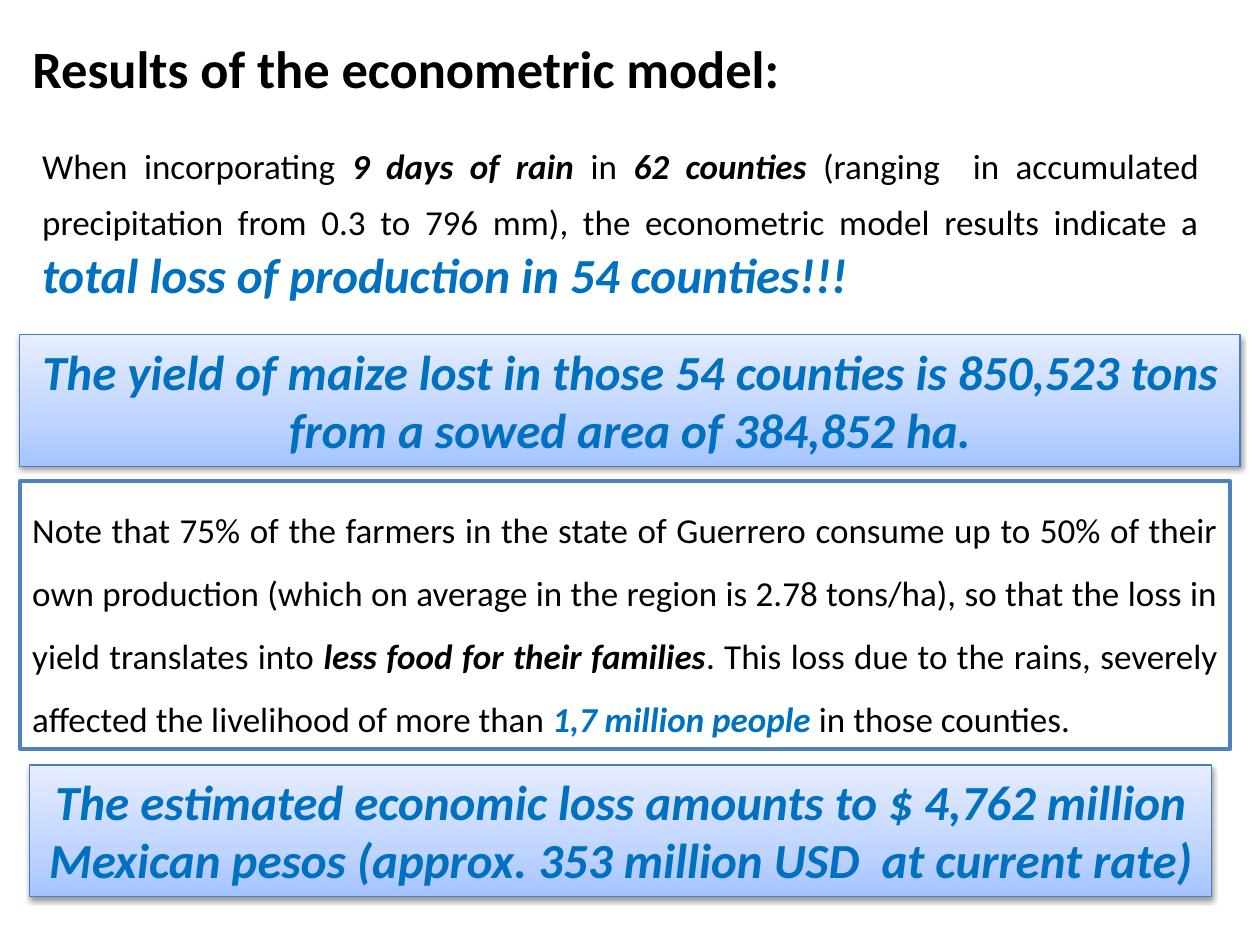
"""Build the slide on the results of the econometric model."""
from dataclasses import dataclass

from pptx import Presentation
from pptx.dml.color import RGBColor
from pptx.enum.shapes import MSO_SHAPE
from pptx.enum.text import MSO_ANCHOR, MSO_AUTO_SIZE, PP_ALIGN
from pptx.oxml import parse_xml
from pptx.oxml.ns import nsdecls, qn
from pptx.util import Cm, Pt

RECTANGLE = MSO_SHAPE.RECTANGLE
TOP = MSO_ANCHOR.TOP
FIXED, GROW = MSO_AUTO_SIZE.NONE, MSO_AUTO_SIZE.SHAPE_TO_FIT_TEXT
LEFT, CENTER, JUSTIFY = PP_ALIGN.LEFT, PP_ALIGN.CENTER, PP_ALIGN.JUSTIFY
TITLE_ONLY = 5


@dataclass(frozen=True)
class Theme:
    """Colours, font and type sizes of the slide."""

    font: str = "Calibri"
    ink: str = "000000"
    accent: str = "0070C0"
    paper: str = "FFFFFF"
    frame: str = "4F81BD"
    banner_line: str = "4B7EBC"
    banner_stops: tuple = ((0, "A4C4FF"), (35, "BFD4FF"), (100, "E6EEFF"))
    title: int = 30
    body: int = 20
    large: int = 28


@dataclass(frozen=True)
class Span:
    """A stretch of text in one format."""

    text: str
    size: int
    color: str
    bold: bool = False
    italic: bool = False


class SlideBuilder:
    """Holds the theme and the current slide."""

    def __init__(self, presentation, theme):
        self.theme = theme
        self.slide = presentation.slides.add_slide(presentation.slide_layouts[TITLE_ONLY])

    def plain(self, text):
        """Return body text."""
        return Span(text, self.theme.body, self.theme.ink)

    def strong(self, text):
        """Return emphasised body text."""
        return Span(text, self.theme.body, self.theme.ink, True, True)

    def accent(self, text, size):
        """Return emphasised text in the accent colour."""
        return Span(text, size, self.theme.accent, True, True)

    def add_spans(self, shape, spans, alignment, auto_size=GROW, spacing=1.0):
        """Fill a shape with one paragraph of spans."""
        frame = shape.text_frame
        frame.word_wrap = True
        frame.auto_size = auto_size
        frame.vertical_anchor = TOP
        paragraph = frame.paragraphs[0]
        paragraph.alignment = alignment
        paragraph.line_spacing = spacing
        for span in spans:
            run = paragraph.add_run()
            run.text = span.text
            run.font.name = self.theme.font
            run.font.size = Pt(span.size)
            run.font.bold = span.bold
            run.font.italic = span.italic
            run.font.color.rgb = RGBColor.from_string(span.color)

    def title(self, text, left, top, width, height):
        """Place the title."""
        shape = self.slide.shapes.title
        shape.left, shape.top, shape.width, shape.height = map(Cm, (left, top, width, height))
        self.add_spans(shape, [Span(text, self.theme.title, self.theme.ink, True)], LEFT, FIXED)

    def text(self, spans, left, top, width, height):
        """Add a justified text box."""
        shape = self.slide.shapes.add_textbox(*map(Cm, (left, top, width, height)))
        self.add_spans(shape, spans, JUSTIFY)

    def rectangle(self, line_color, line_width, left, top, width, height):
        """Add an outlined rectangle without shadow."""
        shape = self.slide.shapes.add_shape(RECTANGLE, *map(Cm, (left, top, width, height)))
        shape.shadow.inherit = False
        shape.line.color.rgb = RGBColor.from_string(line_color)
        shape.line.width = Pt(line_width)
        return shape

    def note(self, spans, left, top, width, height):
        """Add a framed note with wide line spacing."""
        shape = self.rectangle(self.theme.frame, 2, left, top, width, height)
        shape.fill.solid()
        shape.fill.fore_color.rgb = RGBColor.from_string(self.theme.paper)
        self.add_spans(shape, spans, JUSTIFY, spacing=1.5)

    def banner(self, text, left, top, width, height):
        """Add a shaded banner with a soft shadow."""
        shape = self.rectangle(self.theme.banner_line, 0.75, left, top, width, height)
        stops = "".join(
            f'<a:gs pos="{position * 1000}"><a:srgbClr val="{color}"/></a:gs>'
            for position, color in self.theme.banner_stops
        )
        properties = shape._element.spPr
        properties.find(qn("a:prstGeom")).addnext(parse_xml(
            f'<a:gradFill {nsdecls("a")} rotWithShape="1"><a:gsLst>{stops}</a:gsLst>'
            '<a:lin ang="16200000" scaled="1"/></a:gradFill>'
        ))
        properties.find(qn("a:effectLst")).append(parse_xml(
            f'<a:outerShdw {nsdecls("a")} blurRad="{Pt(3.1)}" dist="{Pt(1.6)}" dir="5400000"'
            ' rotWithShape="0"><a:srgbClr val="000000"><a:alpha val="38000"/></a:srgbClr>'
            '</a:outerShdw>'
        ))
        self.add_spans(shape, [self.accent(text, self.theme.large)], CENTER)


def main():
    """Build and save the presentation."""
    presentation = Presentation()
    presentation.slide_width, presentation.slide_height = Cm(25.4), Cm(19.05)
    theme = Theme()
    builder = SlideBuilder(presentation, theme)
    plain, strong, accent = builder.plain, builder.strong, builder.accent

    builder.note([
        plain("Note that 75% of the farmers in the state of Guerrero consume up to 50% of their "
              "own production (which on average in the region is 2.78 tons/ha), so that the "
              "loss in yield translates into "),
        strong("less food for their families"),
        plain(". This loss due to the rains, severely affected the livelihood of more than "),
        accent("1,7 million people ", theme.body),
        plain("in those counties."),
    ], 0.4, 9.7, 24.4, 5.4)
    builder.title("Results of the econometric model:", 0.4, 0.6, 23.6, 3.75)
    builder.text([
        plain("When incorporating "),
        strong("9 days of rain "),
        plain("in "),
        strong("62 counties "),
        plain("(ranging  in accumulated precipitation from 0.3 to 796 mm), the econometric "
              "model results indicate a"),
        Span(" ", theme.large, theme.ink),
        accent("total loss of production in 54 counties!!!", theme.large),
    ], 0.6, 2.78, 23.82, 3.5)
    builder.banner("The yield of maize lost in those 54 counties is 850,523 tons from a sowed "
                   "area of 384,852 ha.", 0.4, 6.75, 24.6, 2.65)
    builder.banner("The estimated economic loss amounts to $ 4,762 million Mexican pesos "
                   "(approx. 353 million USD  at current rate)", 0.6, 15.42, 23.82, 2.65)
    presentation.save("out.pptx")


if __name__ == "__main__":
    main()
